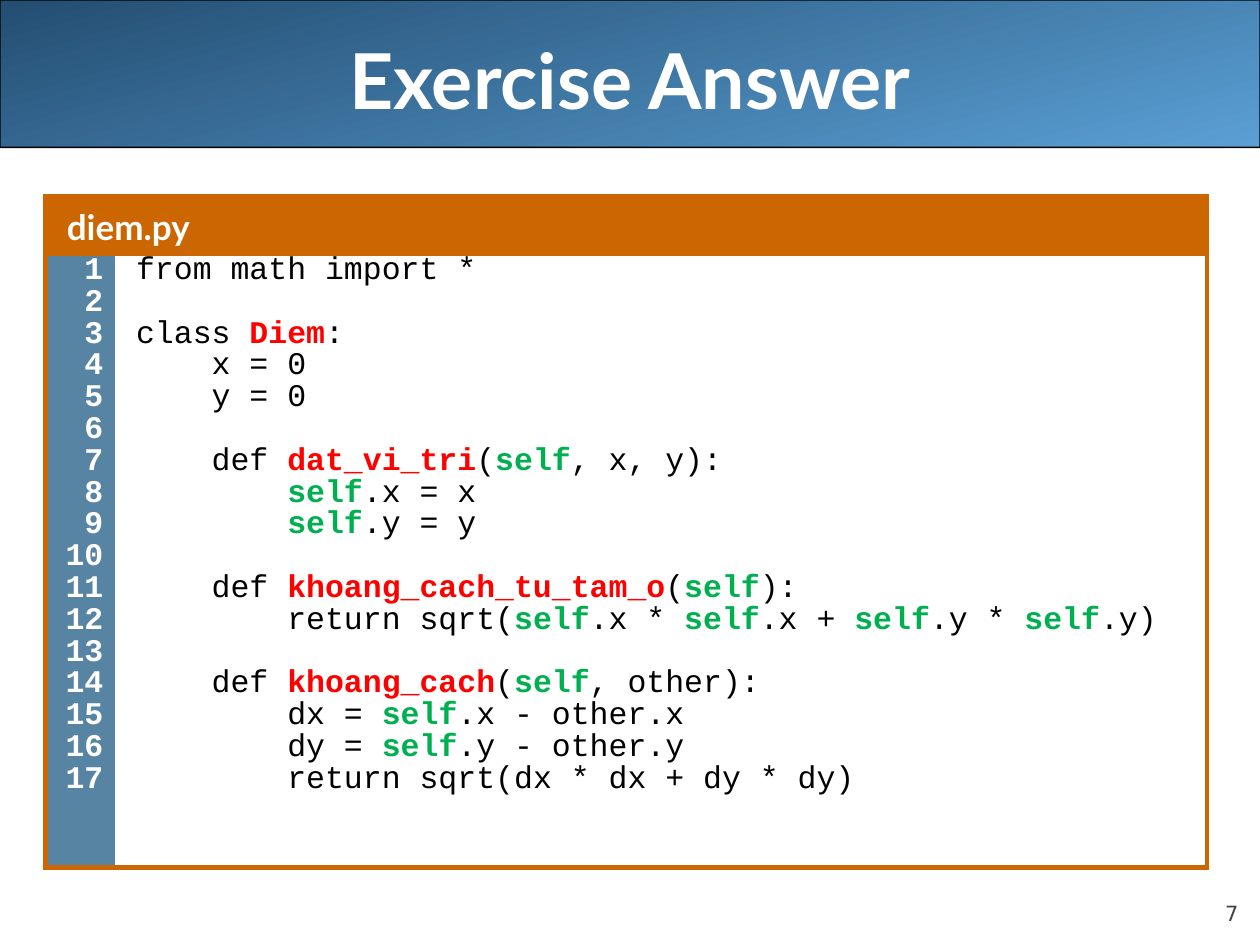
from lxml import etree
from pptx import Presentation
from pptx.dml.color import RGBColor
from pptx.enum.shapes import MSO_SHAPE
from pptx.enum.text import MSO_ANCHOR, PP_ALIGN
from pptx.oxml.ns import qn
from pptx.util import Inches, Pt

ROUNDED = MSO_SHAPE.ROUNDED_RECTANGLE
MIDDLE, BOTTOM = MSO_ANCHOR.MIDDLE, MSO_ANCHOR.BOTTOM
LEFT, CENTER, RIGHT = PP_ALIGN.LEFT, PP_ALIGN.CENTER, PP_ALIGN.RIGHT

COLORS = {
    "white": "FFFFFF", "black": "000000", "page": "424242",
    "dark": "244E72", "light": "5A9FD4", "frame": "CC6600",
    "gutter": "5784A3", "name": "FF0000", "self": "00B050",
}
HEAD, MONO, PAGE = "Lato", "Courier New", "DejaVu Sans"

# Parts between bars are highlighted
CODE = """from math import *

class |Diem|:
    x = 0
    y = 0

    def |dat_vi_tri|(|self|, x, y):
        |self|.x = x
        |self|.y = y

    def |khoang_cach_tu_tam_o|(|self|):
        return sqrt(|self|.x * |self|.x + |self|.y * |self|.y)

    def |khoang_cach|(|self|, other):
        dx = |self|.x - other.x
        dy = |self|.y - other.y
        return sqrt(dx * dx + dy * dy)""".split("\n")


def rgb(name):
    return RGBColor.from_string(COLORS[name])


class Deck:
    def __init__(self, width, height):
        self.prs = Presentation()
        self.prs.slide_width, self.prs.slide_height = Inches(width), Inches(height)
        self.width, self.height = width, height
        self.s = self.prs.slides.add_slide(self.prs.slide_layouts[6])

    def box(self, x, y, w, h):
        """Turn shares of the slide's size into lengths."""
        return (Inches(x * self.width), Inches(y * self.height),
                Inches(w * self.width), Inches(h * self.height))

    def font(self, p, face, size, color=None, bold=None):
        p.font.name, p.font.size, p.font.bold = face, Pt(size), bold
        if color:
            p.font.color.rgb = rgb(color)

    def banner(self, *share):
        sp = self.s.shapes.add_shape(ROUNDED, *self.box(*share))
        sp.adjustments[0] = 0.001
        sp.shadow.inherit = False
        sp.fill.gradient()
        sp.fill.gradient_angle = 285
        for stop, color in zip(sp.fill.gradient_stops, ("dark", "light")):
            stop.color.rgb = rgb(color)
        sp.line.color.rgb = rgb("black")
        sp.line.width = Pt(0.75)

    def text(self, share, words, face, size, color, align, anchor, bold=False):
        tf = self.s.shapes.add_textbox(*self.box(*share)).text_frame
        tf.word_wrap = True
        tf.vertical_anchor = anchor
        tf.margin_left = tf.margin_right = tf.margin_top = tf.margin_bottom = 0
        p = tf.paragraphs[0]
        p.text, p.alignment = words, align
        self.font(p, face, size, color, bold)

    def table(self, share, cols, rows):
        table = self.s.shapes.add_table(len(rows), len(cols), *self.box(*share)).table
        table.first_row = table.horz_banding = False
        for col, width in zip(table.columns, cols):
            col.width = Inches(width)
        for row, height in zip(table.rows, rows):
            row.height = Inches(height)
        return table

    def cell(self, cell, fill, sides, right=0.05):
        """Fill a cell and frame the given sides (L, R, T, B)."""
        cell.fill.solid()
        cell.fill.fore_color.rgb = rgb(fill)
        cell.margin_left = cell.margin_top = cell.margin_bottom = Inches(0.05)
        cell.margin_right = Inches(right)
        tcPr = cell._tc.get_or_add_tcPr()
        for i, side in enumerate("LRTB"):
            ln = etree.Element(qn("a:ln" + side), w=str(Pt(3)))
            if side in sides:
                solid = etree.SubElement(ln, qn("a:solidFill"))
                etree.SubElement(solid, qn("a:srgbClr"), val=COLORS["frame"])
            else:
                etree.SubElement(ln, qn("a:noFill"))
            tcPr.insert(i, ln)

    def lines(self, cell, lines, face, size, color, bold, align=LEFT,
              spacing=0.67, indent=0.12):
        """Write one paragraph a line, with the marked parts in colour."""
        tf = cell.text_frame
        for i, line in enumerate(lines):
            p = tf.add_paragraph() if i else tf.paragraphs[0]
            p.alignment, p.line_spacing = align, spacing
            if i:
                p.space_before = Pt(4.5)
            pPr = p._p.get_or_add_pPr()
            pPr.set("marL", str(Inches(indent)))
            pPr.set("indent", "0")
            self.font(p, face, size)
            for j, part in enumerate(line.split("|")):
                if not part:
                    continue
                r = p.add_run()
                r.text = part
                marked = j % 2 == 1
                r.font.bold = bold or marked
                mark = "self" if part == "self" else "name"
                r.font.color.rgb = rgb(mark if marked else color)
            if not line:
                end = etree.SubElement(p._p, qn("a:endParaRPr"), sz=str(size * 100))
                etree.SubElement(end, qn("a:latin"), typeface=face)


def main():
    deck = Deck(10, 7.5)

    # Title banner and page number
    deck.banner(0, 0, 1, 0.156)
    deck.text((0.05, 0, 0.9, 0.167), "Exercise Answer", HEAD, 44, "white",
              CENTER, MIDDLE, bold=True)
    deck.text((0.9, 0.927, 0.083, 0.053), "7", PAGE, 12, "page", RIGHT, BOTTOM)

    # Code listing: file name, line numbers, code
    table = deck.table((0.036, 0.208, 0.922, 0.709), (0.55, 8.67), (0.45, 4.87))
    title, title_end = table.cell(0, 0), table.cell(0, 1)
    numbers, code = table.cell(1, 0), table.cell(1, 1)
    title.merge(title_end)
    deck.cell(title, "frame", "LRTB")
    deck.cell(title_end, "frame", "LRTB")
    deck.cell(numbers, "gutter", "LTB", right=0.09)
    deck.cell(code, "white", "RTB", right=0.18)
    deck.lines(title, ["diem.py"], HEAD, 20, "white", True, spacing=1.07)
    # A smaller indent leaves room for two digits
    deck.lines(numbers, [str(n + 1) for n in range(len(CODE))], MONO, 18,
               "white", True, RIGHT, indent=0.05)
    deck.lines(code, CODE, MONO, 18, "black", False)

    deck.prs.save("out.pptx")


if __name__ == "__main__":
    main()
